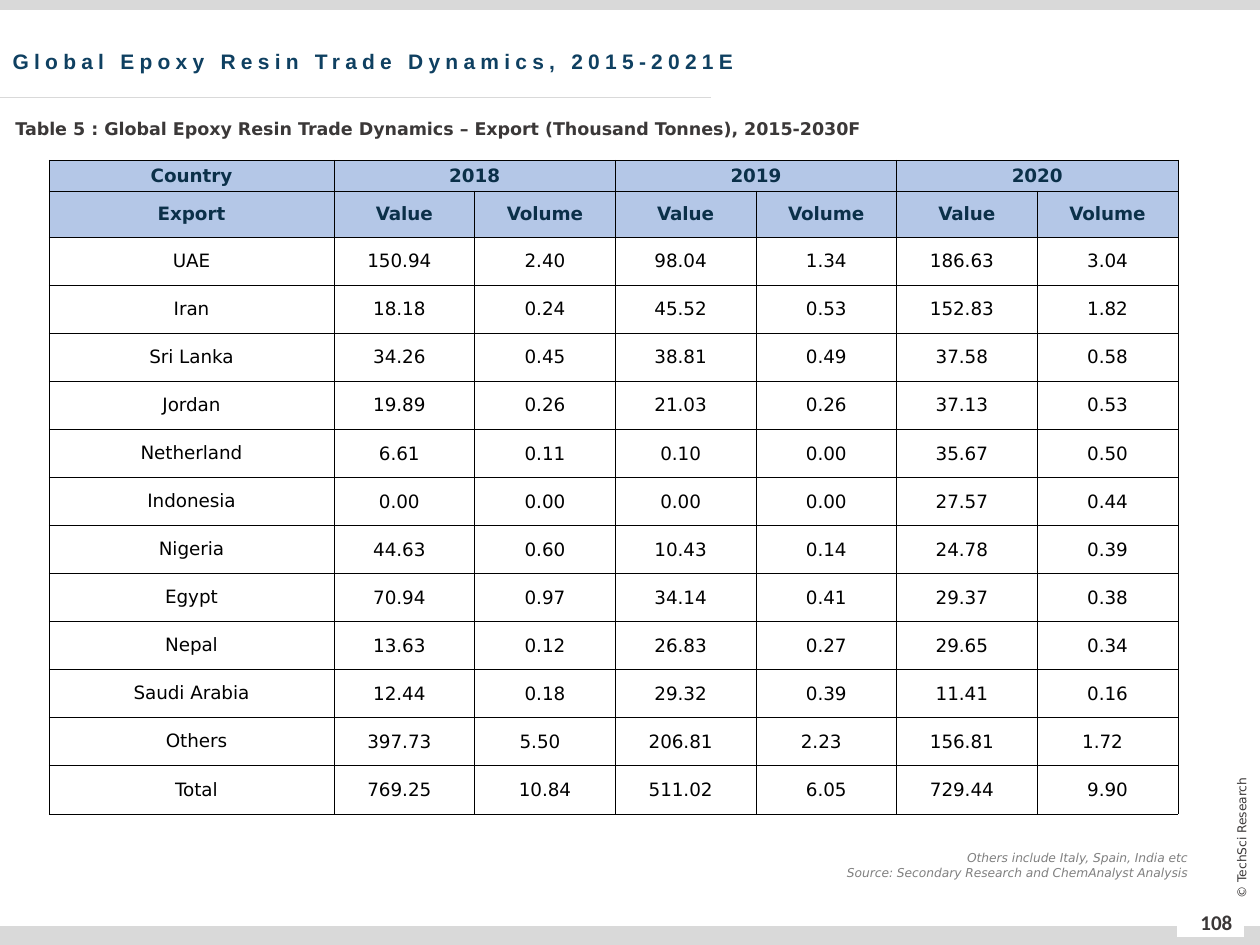
from lxml import etree
from pptx import Presentation
from pptx import util as u
from pptx.dml.color import RGBColor
from pptx.enum import shapes, text
from pptx.oxml.ns import qn

EMU_PER_PX = 914400 / 126
BODY_FONT = "DejaVu Sans"
COLORS = {
    "band": "D9D9D9", "white": "FFFFFF", "dark": "3B3838", "title": "0F4061",
    "header_fill": "B4C7E7", "header_text": "0B3049", "black": "000000", "grey": "808080",
}
YEARS = ["2018", "2019", "2020"]
EXPORTS = [
    ("UAE", "150.94", "2.40", "98.04", "1.34", "186.63", "3.04"),
    ("Iran", "18.18", "0.24", "45.52", "0.53", "152.83", "1.82"),
    ("Sri Lanka", "34.26", "0.45", "38.81", "0.49", "37.58", "0.58"),
    ("Jordan", "19.89", "0.26", "21.03", "0.26", "37.13", "0.53"),
    ("Netherland", "6.61", "0.11", "0.10", "0.00", "35.67", "0.50"),
    ("Indonesia", "0.00", "0.00", "0.00", "0.00", "27.57", "0.44"),
    ("Nigeria", "44.63", "0.60", "10.43", "0.14", "24.78", "0.39"),
    ("Egypt", "70.94", "0.97", "34.14", "0.41", "29.37", "0.38"),
    ("Nepal", "13.63", "0.12", "26.83", "0.27", "29.65", "0.34"),
    ("Saudi Arabia", "12.44", "0.18", "29.32", "0.39", "11.41", "0.16"),
    ("Others", "397.73", "5.50", "206.81", "2.23", "156.81", "1.72"),
    ("Total", "769.25", "10.84", "511.02", "6.05", "729.44", "9.90"),
]


def px(length):
    return u.Emu(round(length * EMU_PER_PX))


def color(name):
    return RGBColor.from_string(COLORS[name])


def write(frame, *lines, size, ink, font=BODY_FONT, bold=False, italic=False,
          align="LEFT", anchor="TOP", line_spacing=None, tracking=None):
    """Fill a text frame with one paragraph per line; tracking is in points."""
    frame.word_wrap = True
    frame.vertical_anchor = getattr(text.MSO_ANCHOR, anchor)
    for index, line in enumerate(lines):
        paragraph = frame.add_paragraph() if index else frame.paragraphs[0]
        paragraph.alignment = getattr(text.PP_ALIGN, align)
        if line_spacing:
            paragraph.line_spacing = line_spacing
        run = paragraph.add_run()
        run.text = line
        run.font.name, run.font.size = font, u.Pt(size)
        run.font.bold, run.font.italic = bold, italic
        run.font.color.rgb = color(ink)
        if tracking:
            run.font._element.set("spc", str(tracking * 100))


def add_band(slide, left, top, width, height, fill):
    band = slide.shapes.add_shape(shapes.MSO_SHAPE.RECTANGLE,
                                  px(left), px(top), px(width), px(height))
    band.shadow.inherit = False
    band.fill.solid()
    band.fill.fore_color.rgb = color(fill)
    band.line.fill.background()


def add_rule(slide, left, right, y):
    rule = slide.shapes.add_connector(shapes.MSO_CONNECTOR.STRAIGHT,
                                      px(left), px(y), px(right), px(y))
    rule.line.color.rgb = color("band")
    rule.line.width = u.Pt(0.5)
    etree.SubElement(rule._element.spPr, qn("a:effectLst"))


def add_label(slide, left, top, width, height, *lines, rotation=0, **style):
    label = slide.shapes.add_textbox(px(left), px(top), px(width), px(height))
    label.rotation = rotation
    write(label.text_frame, *lines, **style)


def format_cell(cell, fill, margins):
    """Set the borders, the fill and the margins (left, top, right, bottom)."""
    properties = cell._tc.get_or_add_tcPr()
    for side in ("a:lnL", "a:lnR", "a:lnT", "a:lnB"):
        border = etree.SubElement(properties, qn(side), w=str(u.Pt(0.25)))
        solid = etree.SubElement(border, qn("a:solidFill"))
        etree.SubElement(solid, qn("a:srgbClr"), val=COLORS["black"])
    cell.fill.solid()
    cell.fill.fore_color.rgb = color(fill)
    cell.margin_left, cell.margin_top, cell.margin_right, cell.margin_bottom = map(px, margins)
    cell.vertical_anchor = text.MSO_ANCHOR.MIDDLE


def body_margins(country, column):
    if column == 0:
        return (11 if country in ("Others", "Total") else 1, 13, 1, 13)
    is_value = column % 2 == 1
    return (1, 1, 11 if is_value or country == "Others" else 1, 0)


def add_export_table(slide):
    year_row = ["Country"] + [label for year in YEARS for label in (year, "")]
    measure_row = ["Export"] + ["Value", "Volume"] * len(YEARS)
    rows = [year_row, measure_row, *EXPORTS]
    header_heights, body_height = [px(31), px(46)], px(572)
    heights = header_heights + [body_height // len(EXPORTS)] * len(EXPORTS)

    table = slide.shapes.add_table(len(rows), len(year_row), px(49), px(160),
                                   px(1129), sum(heights)).table
    table.first_row = table.horz_banding = False
    table.columns[0].width = px(285)
    for column in range(1, len(year_row)):
        table.columns[column].width = px(844) // (len(year_row) - 1)

    for row, values in enumerate(rows):
        table.rows[row].height = heights[row]
        is_header = row < len(header_heights)
        for column, value in enumerate(values):
            cell = table.cell(row, column)
            margins = (1, 1, 1, 0) if is_header else body_margins(values[0], column)
            format_cell(cell, "header_fill" if is_header else "white", margins)
            if value:
                write(cell.text_frame, value, size=10.5, bold=is_header, align="CENTER",
                      anchor="MIDDLE", ink="header_text" if is_header else "black")

    for column in range(1, len(year_row), 2):
        table.cell(0, column).merge(table.cell(0, column + 1))


def add_title(slide, words):
    title = slide.shapes.title
    title.left, title.top, title.width, title.height = px(0), px(31), px(977), px(63)
    write(title.text_frame, words, size=12, ink="title", font="Arial", bold=True,
          anchor="MIDDLE", line_spacing=0.9, tracking=3)


def main():
    deck = Presentation()
    deck.slide_width, deck.slide_height = px(1260), px(945)
    slide = deck.slides.add_slide(deck.slide_layouts.get_by_name("Title Only"))

    add_band(slide, 0, 926, 1260, 19, "band")
    add_band(slide, 1177, 910, 67, 27, "white")
    add_label(slide, 1186, 897, 61, 51, "108", size=12, ink="dark", font="Calibri",
              bold=True, align="CENTER", anchor="MIDDLE")
    add_label(slide, 1166, 828, 151, 20, "© TechSci Research", rotation=270, size=7,
              ink="dark", align="CENTER", anchor="MIDDLE")
    add_rule(slide, 0, 711, 97)
    add_band(slide, 0, 0, 1260, 10, "band")

    add_title(slide, "Global Epoxy Resin Trade Dynamics, 2015-2021E")
    add_export_table(slide)
    add_label(slide, 782, 844, 418, 43, "Others include Italy, Spain, India etc",
              "Source: Secondary Research and ChemAnalyst Analysis",
              size=7, ink="grey", italic=True, align="RIGHT")
    add_label(slide, 3, 101, 1213, 40,
              "Table 5 : Global Epoxy Resin Trade Dynamics – Export (Thousand Tonnes), 2015-2030F",
              size=10, ink="dark", bold=True, line_spacing=1.5)
    deck.save("out.pptx")


if __name__ == "__main__":
    main()
